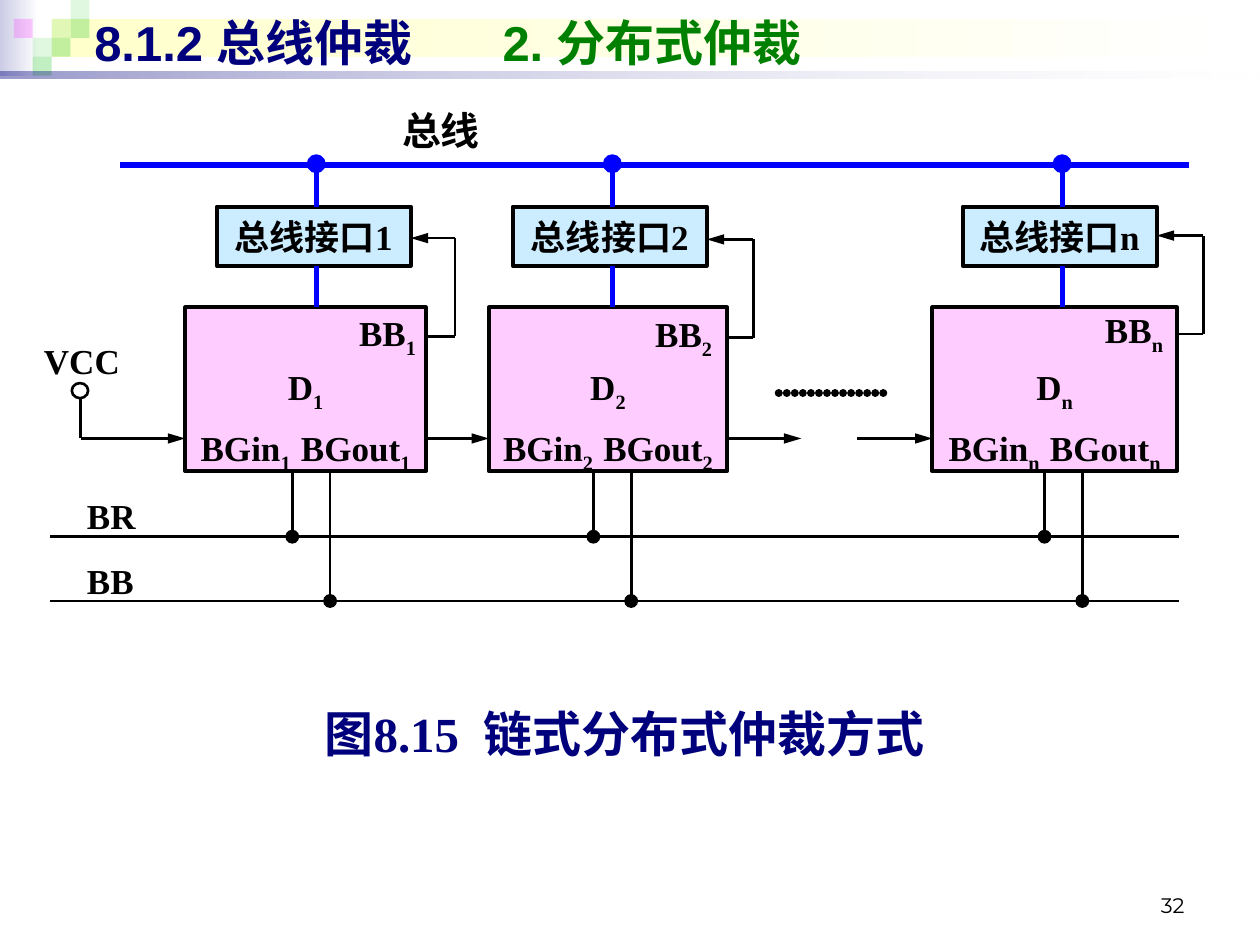
"""Build the slide on chained distributed bus arbitration."""
from collections import namedtuple

import lxml.etree
import pptx
import pptx.dml.color
import pptx.enum.shapes
import pptx.enum.text
import pptx.oxml.ns
import pptx.util

Inches = pptx.util.Inches
RGBColor = pptx.dml.color.RGBColor
Align = pptx.enum.text.PP_ALIGN
Anchor = pptx.enum.text.MSO_ANCHOR
Preset = pptx.enum.shapes.MSO_SHAPE

WHITE = RGBColor(0xFF, 0xFF, 0xFF)
BLACK = RGBColor(0, 0, 0)
NAVY = RGBColor(0, 0, 0x7D)
GREEN = RGBColor(0, 0x80, 0)
BLUE = RGBColor(0, 0, 0xFF)
PINK = RGBColor(0xFF, 0xCC, 0xFF)
SKY = RGBColor(0xCC, 0xEC, 0xFF)
LAVENDER = RGBColor(0xCC, 0xCC, 0xE6)
CREAM = RGBColor(0xFF, 0xFF, 0xCC)
LIME = RGBColor(0x33, 0xCC, 0x33)
MAGENTA = RGBColor(0xFF, 0, 0xFF)

SERIF = "Times New Roman"
BUS_Y, BR_Y, BB_Y = 1.31, 4.26, 4.77
INTERFACE_TOP, INTERFACE_WIDTH, INTERFACE_HEIGHT = 1.64, 1.54, 0.47
DEVICE_TOP, DEVICE_HEIGHT = 2.44, 1.3
DEVICE_BOTTOM = DEVICE_TOP + DEVICE_HEIGHT
TILE = 0.15

Device = namedtuple("Device", "name bus_x left width drop_x loop_x loop_y")
DEVICES = [
    Device("1", 2.51, 1.47, 1.91, 2.32, 3.61, 1.89),
    Device("2", 4.86, 3.88, 1.89, 4.71, 5.98, 1.90),
    Device("n", 8.43, 7.40, 1.94, 8.29, 9.55, 1.87),
]
TILES = [
    (0.41, 0.15, LIME, 15), (0.56, 0, LIME, 15), (0.56, 0.15, LIME, 30),
    (0.26, 0.3, LIME, 15), (0.11, 0.15, MAGENTA, 20),
    (0.41, 0.3, LIME, 30), (0.26, 0.45, LIME, 30),
]


def add_child(parent, tag, **attributes):
    """Append a DrawingML element to parent."""
    return lxml.etree.SubElement(parent, pptx.oxml.ns.qn(tag), attributes)


def set_opacity(shape, *percents):
    """Give the colours of a shape's fill their opacities in percent."""
    colors = shape._element.spPr.iter(pptx.oxml.ns.qn("a:srgbClr"))
    for color, percent in zip(list(colors), percents):
        if percent < 100:
            add_child(color, "a:alpha", val=str(percent * 1000))


def add_box(slide, left, top, width, height, *, fill, line=None,
            line_width=2.25, preset=Preset.RECTANGLE):
    """Add a flat preset shape."""
    box = slide.shapes.add_shape(
        preset, Inches(left), Inches(top), Inches(width), Inches(height))
    box.shadow.inherit = False
    box.fill.solid()
    box.fill.fore_color.rgb = fill
    if line is None:
        box.line.fill.background()
    else:
        box.line.color.rgb = line
        box.line.width = pptx.util.Pt(line_width)
    return box


def add_fade(slide, left, top, width, height, start, opacities=(100, 100)):
    """Add a band that fades from a colour on the left to white."""
    band = add_box(slide, left, top, width, height, fill=start)
    band.fill.gradient()
    band.fill.gradient_angle = 0
    for stop, color in zip(band.fill.gradient_stops, (start, WHITE)):
        stop.color.rgb = color
    set_opacity(band, *opacities)


def add_dot(slide, x, y, size, color):
    """Add a round junction centred on a point."""
    add_box(slide, x - size / 2, y - size / 2, size, size, fill=color,
            line=color, line_width=0.75, preset=Preset.FLOWCHART_CONNECTOR)


def add_line(slide, x1, y1, x2, y2, *, color=BLACK, width=1.5,
             arrow=False, dotted=False):
    """Add a straight line, with an arrowhead or round dots if asked."""
    line = slide.shapes.add_connector(
        pptx.enum.shapes.MSO_CONNECTOR.STRAIGHT,
        Inches(x1), Inches(y1), Inches(x2), Inches(y2))
    line.line.color.rgb = color
    line.line.width = pptx.util.Pt(width)
    outline = line._element.spPr.find(pptx.oxml.ns.qn("a:ln"))
    if dotted:
        outline.set("cap", "rnd")
        dashes = add_child(outline, "a:custDash")
        add_child(dashes, "a:ds", d="100000", sp="2000")
    if arrow:
        add_child(outline, "a:tailEnd", type="triangle", w="med", len="lg")
    add_child(line._element.spPr, "a:effectLst")


def add_span(para, text, *, size=20, font=SERIF, color=BLACK, bold=True,
             subscript=False):
    """Add a formatted span to a paragraph."""
    span = para.add_run()
    span.text = text
    span.font.size = pptx.util.Pt(size)
    span.font.name = font
    span.font.color.rgb = color
    span.font.bold = bold
    if subscript:
        span.font._element.set("baseline", "-25000")


def write_text(box, *lines, align=Align.CENTER, anchor=Anchor.MIDDLE,
               margins=(0, 0, 0, 0), wrap=True, space=0, spacing=None,
               **style):
    """Write one paragraph per line; underscores toggle subscript."""
    frame = box.text_frame
    frame.word_wrap = wrap
    frame.vertical_anchor = anchor
    (frame.margin_left, frame.margin_top,
     frame.margin_right, frame.margin_bottom) = map(Inches, margins)
    for index, line in enumerate(lines):
        para = frame.add_paragraph() if index else frame.paragraphs[0]
        para.alignment = align
        if index:
            para.space_before = pptx.util.Pt(space)
        if spacing:
            para.line_spacing = spacing
        for position, part in enumerate(line.split("_")):
            add_span(para, part, subscript=position % 2 == 1, **style)
    return frame.paragraphs[0]


def add_label(slide, left, top, width, height, text, **style):
    """Add a text box holding one line."""
    box = slide.shapes.add_textbox(
        Inches(left), Inches(top), Inches(width), Inches(height))
    return write_text(box, text, **style)


def add_header(slide):
    """Add the decorated title band."""
    add_fade(slide, 0, 0, 0.31, 0.6, LAVENDER)
    add_fade(slide, 0.41, 0.15, 9.55, 0.3, CREAM)
    for left, top, color, opacity in TILES:
        set_opacity(add_box(slide, left, top, TILE, TILE, fill=color), opacity)
    add_fade(slide, 0, 0.57, 10, 0.05, NAVY, (40, 10))
    style = dict(size=28, font="Arial")
    title = add_label(slide, 0.65, 0.05, 9, 0.57, "8.1.2 总线仲裁\t",
                      align=Align.LEFT, margins=(0.1, 0.05, 0.1, 0.05),
                      color=NAVY, **style)
    tabs = add_child(title._p.get_or_add_pPr(), "a:tabLst")
    add_child(tabs, "a:tab", pos=str(Inches(3.24)), algn="l")
    add_span(title, "2. 分布式仲裁", color=GREEN, **style)


def add_device(slide, device):
    """Add a device with its bus interface, signals and junctions."""
    name, x, left, width, drop_x, loop_x, loop_y = device
    interface_left = x - 0.79
    interface_bottom = INTERFACE_TOP + INTERFACE_HEIGHT
    loop_bottom = loop_y + 0.78
    box = add_box(slide, left, DEVICE_TOP, width, DEVICE_HEIGHT,
                  fill=PINK, line=BLACK)
    write_text(box, f"D_{name}", f"BGin_{name}  _BGout_{name}",
               anchor=Anchor.TOP, margins=(0, 0.46, 0, 0), space=7.5)
    interface = add_box(slide, interface_left, INTERFACE_TOP, INTERFACE_WIDTH,
                        INTERFACE_HEIGHT, fill=SKY, line=BLACK)
    write_text(interface, f"总线接口{name}")
    for top, bottom in ((BUS_Y, INTERFACE_TOP), (interface_bottom, DEVICE_TOP)):
        add_line(slide, x, top, x, bottom, color=BLUE, width=3)
    add_dot(slide, x, BUS_Y - 0.01, 0.14, BLUE)
    for signal_x, y in ((drop_x, BR_Y), (drop_x + 0.3, BB_Y)):
        add_line(slide, signal_x, DEVICE_BOTTOM, signal_x, y)
        add_dot(slide, signal_x, y, 0.1, BLACK)
    add_line(slide, left + width, loop_bottom, loop_x, loop_bottom)
    add_line(slide, loop_x, loop_bottom, loop_x, loop_y)
    add_line(slide, loop_x, loop_y, interface_left + INTERFACE_WIDTH, loop_y,
             arrow=True)
    add_label(slide, x + 0.34, loop_y + 0.64, 0.5, 0.3, f"BB_{name}",
              align=Align.LEFT, anchor=Anchor.TOP, wrap=False, spacing=0.72)


def main():
    """Build and save the deck."""
    deck = pptx.Presentation()
    deck.slide_width, deck.slide_height = Inches(10), Inches(7.5)
    slide = deck.slides.add_slide(deck.slide_layouts[6])
    add_header(slide)
    add_line(slide, 0.95, BUS_Y, 9.44, BUS_Y, color=BLUE, width=3)
    add_label(slide, 2.95, 0.84, 1.1, 0.39, "总线", size=22.2)
    for y, text in ((BR_Y, "BR"), (BB_Y, "BB")):
        add_line(slide, 0.4, y, 9.36, y)
        add_label(slide, 0.69, y - 0.52, 0.6, 0.52, text,
                  align=Align.LEFT, anchor=Anchor.BOTTOM)
    for device in DEVICES:
        add_device(slide, device)
    for start, end in ((0.64, 1.47), (3.38, 3.88), (5.77, 6.36), (6.8, 7.4)):
        add_line(slide, start, 3.48, end, 3.48, arrow=True)
    add_line(slide, 6.18, 3.12, 7.05, 3.12, width=4.5, dotted=True)
    add_label(slide, 0.26, 2.51, 0.78, 0.52, "VCC", anchor=Anchor.BOTTOM)
    add_line(slide, 0.64, 3.48, 0.64, 3.16)
    add_box(slide, 0.57, 3.04, 0.13, 0.12, fill=WHITE, line=BLACK,
            line_width=1.5, preset=Preset.FLOWCHART_CONNECTOR)
    add_label(slide, 2.16, 5.56, 5.59, 0.52, "图8.15  链式分布式仲裁方式",
              size=28, color=NAVY)
    add_label(slide, 7.17, 6.83, 2.33, 0.5, "32", align=Align.RIGHT,
              anchor=Anchor.BOTTOM, margins=(0.1, 0.05, 0.1, 0.05),
              size=12, font="Montserrat", bold=False)
    deck.save("out.pptx")


if __name__ == "__main__":
    main()
